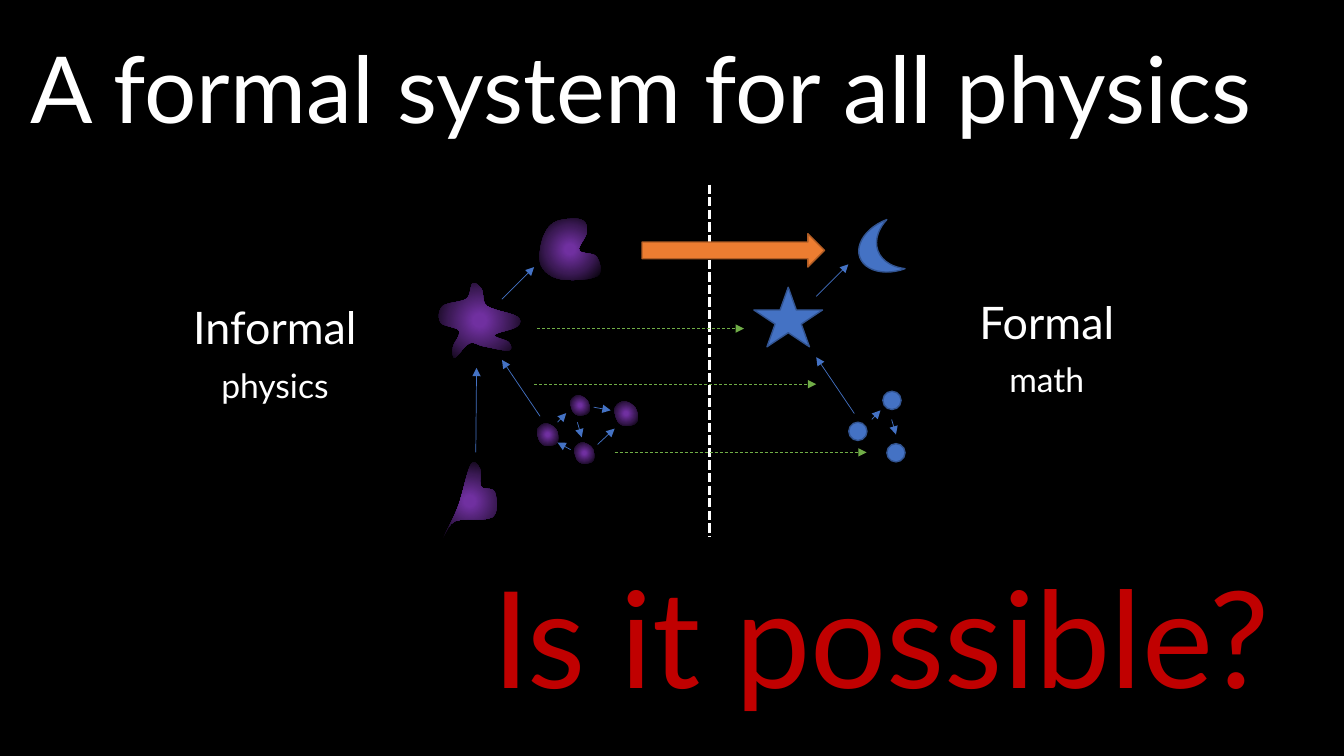
"""Builds the slide asking whether all of physics fits one formal system."""
from dataclasses import dataclass

from pptx import Presentation
from pptx.dml.color import RGBColor
from pptx.enum.dml import MSO_LINE
from pptx.enum.shapes import MSO_CONNECTOR, MSO_SHAPE
from pptx.enum.text import MSO_ANCHOR, MSO_AUTO_SIZE, PP_ALIGN
from pptx.oxml import parse_xml
from pptx.oxml.ns import nsdecls, qn
from pptx.util import Cm, Pt


@dataclass(frozen=True)
class Theme:
    """Font, colours and type sizes of the slide."""
    font: str = "Lato"
    background: str = "000000"
    text: str = "FFFFFF"
    question: str = "C00000"
    formal: str = "4472C4"
    formal_edge: str = "325491"
    mapping: str = "70AD47"
    leap: str = "ED7D31"
    leap_edge: str = "AF5C24"
    glow: tuple = ((12, "7030A0"), (56, "3C1A56"), (100, "000000"))
    title_size: int = 66
    question_size: int = 96
    world_size: int = 32
    field_size: int = 24


THEME = Theme()

TITLE = "A formal system for all physics"
TITLE_BOX = (0.51, 0.66, 32.84, 3.07)
QUESTION = "Is it possible?"
QUESTION_BOX = (11.13, 13.84, 21.13, 4.37)
WORLDS = [("Informal", "physics", 6.93, 7.44), ("Formal", "math", 26.38, 7.29)]
WORLD_WIDTH, WORLD_HEIGHT, FIELD_HEIGHT = 5, 1.62, 1.27

DIVIDER = (17.88, 4.65, 17.88, 13.54)
LEAP = (16.18, 5.89, 4.6, 0.84)

HORSESHOE = [(34, 0), (13, 4), (2, 21), (1, 46), (20, 59), (56, 56), (55, 37), (38, 31),
             (45, 15), (44, 4)]
STARFISH = [(47, 22), (42, 6), (33, 0), (27, 15), (4, 22), (2, 38), (20, 46), (14, 62),
            (16, 72), (30, 58), (44, 61), (68, 65), (68, 57), (54, 50), (76, 42), (76, 32)]
DROP = [(27, 0), (15, 40), (0, 72), (12, 54), (48, 50), (50, 26), (37, 21), (36, 4)]
PEBBLE = [(8, 0), (0, 6), (3, 18), (10, 21), (19, 18), (18, 6)]
INFORMAL_IDEAS = [
    (HORSESHOE, 13.61, 5.51, 1.45),
    (STARFISH, 11.05, 7.14, 1.98),
    (DROP, 11.15, 11.71, 1.32),
    (PEBBLE, 13.54, 10.67, 0.51),
    (PEBBLE, 14.38, 9.96, 0.46),
    (PEBBLE, 14.48, 11.15, 0.48),
    (PEBBLE, 15.49, 10.11, 0.56),
]
CURVE_STEPS = 6

MOON, MOON_TURN = (21.64, 5.66, 0.97, 1.32), 339.7
STAR = (19, 7.24, 1.73, 1.5)
DOTS, DOT_SIZE = [(22.25, 9.86), (21.39, 10.64), (22.35, 11.18)], 0.46

SHARED_RELATIONS = [
    (12.65, 7.54, 13.46, 6.73), (13.61, 10.49, 12.65, 9.07),
    (14.55, 10.64, 14.66, 11.02), (14.05, 10.64, 14.27, 10.41),
]
INFORMAL_RELATIONS = [
    (15.06, 11.2, 15.49, 10.8), (11.99, 11.4, 12.01, 9.27),
    (14.96, 10.26, 15.39, 10.34), (14.38, 11.33, 14.05, 11.15),
]
FORMAL_SHIFT = (7.92, -0.07)
MAPPINGS = [(13.46, 20.57, 9.68), (13.54, 18.75, 8.28), (15.49, 21.84, 11.4)]


def rgb(colour):
    return RGBColor.from_string(colour)


def lengths(values):
    return [Cm(value) for value in values]


def write(holder, words, size, colour, alignment):
    frame = holder.text_frame
    frame.auto_size = MSO_AUTO_SIZE.NONE
    frame.word_wrap = True
    frame.vertical_anchor = MSO_ANCHOR.TOP
    paragraph = frame.paragraphs[0]
    paragraph.text = words
    paragraph.alignment = alignment
    paragraph.font.name = THEME.font
    paragraph.font.size = Pt(size)
    paragraph.font.color.rgb = rgb(colour)


def add_line(shapes, ends, colour, width, dash=None, arrow=True):
    line = shapes.add_connector(MSO_CONNECTOR.STRAIGHT, *lengths(ends))
    line.line.color.rgb = rgb(colour)
    line.line.width = Pt(width)
    if dash:
        line.line.dash_style = dash
    properties = line._element.spPr
    if arrow:
        properties.find(qn("a:ln")).append(
            parse_xml(f'<a:tailEnd {nsdecls("a")} type="triangle"/>'))
    properties.append(parse_xml(f'<a:effectLst {nsdecls("a")}/>'))


def add_solid(shapes, kind, box, fill=THEME.formal, edge=THEME.formal_edge, rotation=0):
    solid = shapes.add_shape(kind, *lengths(box))
    solid.shadow.inherit = False
    solid.rotation = rotation
    solid.fill.solid()
    solid.fill.fore_color.rgb = rgb(fill)
    solid.line.color.rgb = rgb(edge)
    solid.line.width = Pt(1)


def blend(before, start, end, after, t):
    return (2 * start + (end - before) * t
            + (2 * before - 5 * start + 4 * end - after) * t ** 2
            + (3 * start - before - 3 * end + after) * t ** 3) / 2


def smooth_outline(corners):
    count = len(corners)
    curve = []
    for index in range(count):
        nearby = [corners[(index + offset) % count] for offset in (-1, 0, 1, 2)]
        for step in range(CURVE_STEPS):
            curve.append([blend(*axis, step / CURVE_STEPS) for axis in zip(*nearby)])
    return curve


def add_idea(shapes, corners, left, top, width):
    scale = Cm(width) / max(x for x, _ in corners)
    outline = [(x * scale, y * scale) for x, y in smooth_outline(corners)]
    builder = shapes.build_freeform(*outline[0])
    builder.add_line_segments(outline[1:], close=True)
    idea = builder.convert_to_shape(Cm(left), Cm(top))
    idea.shadow.inherit = False
    idea.fill.background()
    idea.line.fill.background()
    stops = "".join(f'<a:gs pos="{position * 1000}"><a:srgbClr val="{colour}"/></a:gs>'
                    for position, colour in THEME.glow)
    glow = parse_xml(
        f'<a:gradFill {nsdecls("a")} rotWithShape="1"><a:gsLst>{stops}</a:gsLst>'
        '<a:path path="circle"><a:fillToRect l="50000" t="50000" r="50000" b="50000"/>'
        '</a:path></a:gradFill>')
    properties = idea._element.spPr
    properties.replace(properties.find(qn("a:noFill")), glow)


def add_captions(shapes):
    title = shapes.title
    title.left, title.top, title.width, title.height = lengths(TITLE_BOX)
    write(title, TITLE, THEME.title_size, THEME.text, PP_ALIGN.LEFT)
    question = shapes.add_textbox(*lengths(QUESTION_BOX))
    write(question, QUESTION, THEME.question_size, THEME.question, PP_ALIGN.RIGHT)
    for world, field, centre, top in WORLDS:
        left = centre - WORLD_WIDTH / 2
        for words, y, height, size in (
                (world, top, WORLD_HEIGHT, THEME.world_size),
                (field, top + WORLD_HEIGHT, FIELD_HEIGHT, THEME.field_size)):
            caption = shapes.add_textbox(*lengths((left, y, WORLD_WIDTH, height)))
            write(caption, words, size, THEME.text, PP_ALIGN.CENTER)


def main():
    deck = Presentation()
    deck.slide_width, deck.slide_height = Cm(33.87), Cm(19.05)
    slide = deck.slides.add_slide(deck.slide_layouts[5])
    slide.background.fill.solid()
    slide.background.fill.fore_color.rgb = rgb(THEME.background)
    shapes = slide.shapes
    add_captions(shapes)

    add_line(shapes, DIVIDER, THEME.text, 2.25, MSO_LINE.SQUARE_DOT, arrow=False)
    for idea in INFORMAL_IDEAS:
        add_idea(shapes, *idea)
    add_solid(shapes, MSO_SHAPE.MOON, MOON, rotation=MOON_TURN)
    add_solid(shapes, MSO_SHAPE.STAR_5_POINT, STAR)
    for left, top in DOTS:
        add_solid(shapes, MSO_SHAPE.OVAL, (left, top, DOT_SIZE, DOT_SIZE))

    formal_relations = [[value + shift for value, shift in zip(ends, FORMAL_SHIFT * 2)]
                        for ends in SHARED_RELATIONS]
    for ends in SHARED_RELATIONS + INFORMAL_RELATIONS + formal_relations:
        add_line(shapes, ends, THEME.formal, 0.5)
    add_solid(shapes, MSO_SHAPE.RIGHT_ARROW, LEAP, THEME.leap, THEME.leap_edge)
    for start, end, y in MAPPINGS:
        add_line(shapes, (start, y, end, y), THEME.mapping, 0.5, MSO_LINE.DASH)
    deck.save("out.pptx")


if __name__ == "__main__":
    main()
